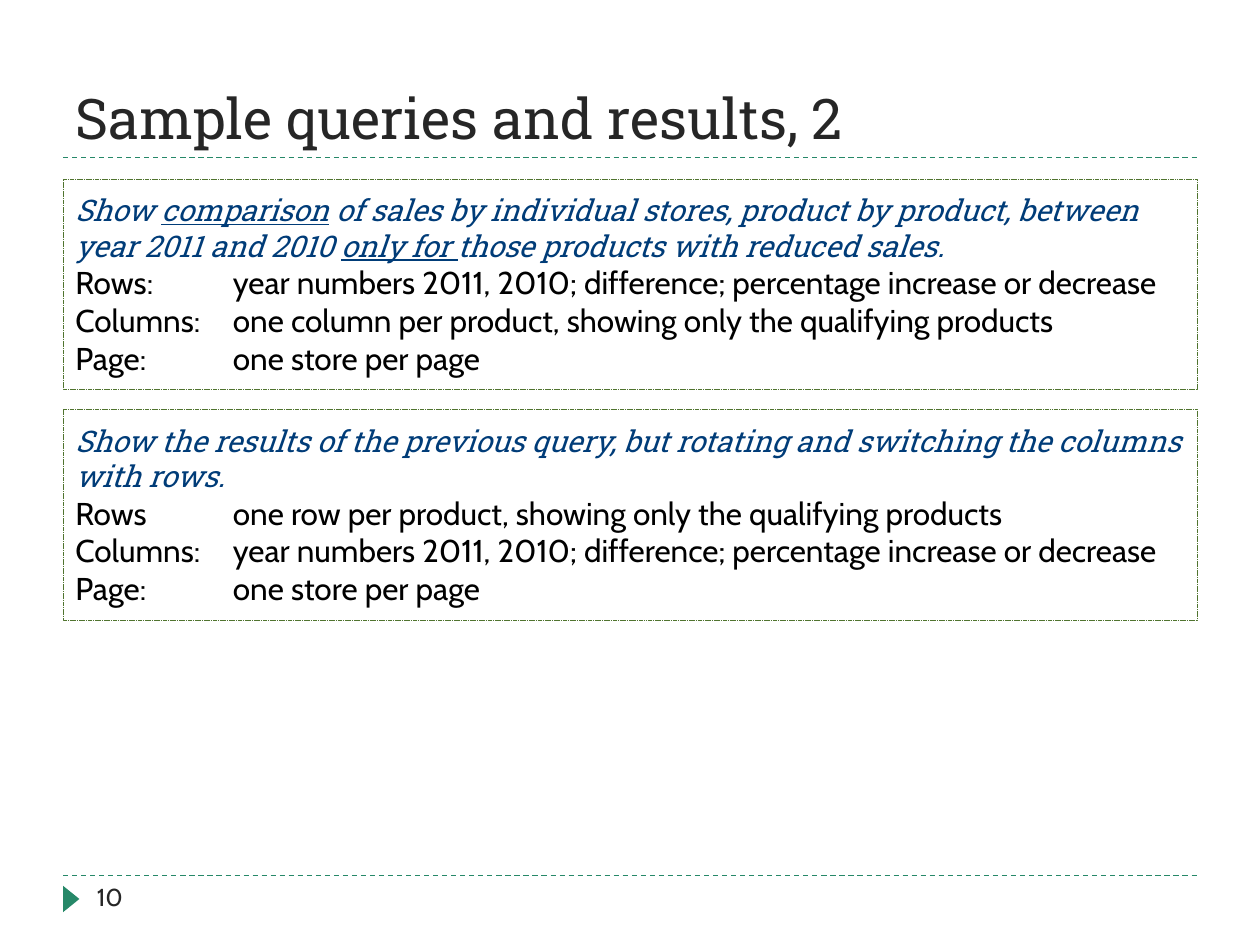
from lxml.etree import SubElement
from pptx import Presentation
from pptx.dml.color import RGBColor
from pptx.enum.dml import MSO_LINE
from pptx.enum.shapes import MSO_CONNECTOR, MSO_SHAPE
from pptx.enum.text import MSO_ANCHOR, MSO_AUTO_SIZE, PP_ALIGN
from pptx.oxml.ns import qn
from pptx.util import Inches, Pt

GREEN = RGBColor(0x26, 0x88, 0x68)
OLIVE = RGBColor(0x50, 0x74, 0x2F)
NAVY = RGBColor(0x00, 0x3C, 0x78)
DARK = RGBColor(0x26, 0x26, 0x26)
BLACK = RGBColor(0, 0, 0)
WHITE = RGBColor(255, 255, 255)
SLAB, SANS = "Roboto Slab", "Cabin"

LEFT, WIDE = 0.5, 9
TOP, HIGH, STEP = 1.42, 1.67, 1.83
TAB = 1.25

# Each query: its question as (text, underlined) runs, then label and value rows
YEARS = "year numbers 2011, 2010; difference; percentage increase or decrease"
STORE = ("Page: ", "one store per page")
QUERIES = [
    ([("Show ", False), ("comparison", True),
      (" of sales by individual stores, product by product, between "
       "year 2011 and 2010 ", False),
      ("only for ", True),
      ("those products with reduced sales.", False)],
     [("Rows: ", YEARS),
      ("Columns: ", "one column per product, showing only the qualifying products"),
      STORE]),
    ([("Show the results of the previous query, but rotating and "
       "switching the columns with rows.", False)],
     [("Rows ", "one row per product, showing only the qualifying products"),
      ("Columns: ", YEARS),
      STORE]),
]


def add_run(para, text, face, size, color, slant=False, under=False):
    run = para.add_run()
    run.text = text
    font = run.font
    font.name, font.size = face, Pt(size)
    font.color.rgb = color
    font.italic, font.underline = slant, under


def add_rule(slide, top):
    y = Inches(top)
    rule = slide.shapes.add_connector(
        MSO_CONNECTOR.STRAIGHT, Inches(LEFT), y, Inches(LEFT + WIDE), y)
    rule.line.color.rgb = GREEN
    rule.line.width = Pt(0.75)
    rule.line.dash_style = MSO_LINE.DASH
    SubElement(rule._element.spPr, qn("a:effectLst"))


def add_title(slide, text):
    title = slide.shapes.title
    title.left, title.top = Inches(LEFT), Inches(0.25)
    title.width, title.height = Inches(WIDE), Inches(1)
    frame = title.text_frame
    frame.auto_size = MSO_AUTO_SIZE.NONE
    frame.vertical_anchor = MSO_ANCHOR.BOTTOM
    para = frame.paragraphs[0]
    para.alignment = PP_ALIGN.LEFT
    add_run(para, text, SLAB, 32, DARK)


def add_number(slide, text):
    mark = slide.shapes.add_shape(
        MSO_SHAPE.ISOSCELES_TRIANGLE,
        Inches(0.46), Inches(7.07), Inches(0.21), Inches(0.13))
    mark.rotation = 90
    mark.shadow.inherit = False
    mark.fill.solid()
    mark.fill.fore_color.rgb = GREEN
    mark.line.fill.background()
    box = slide.shapes.add_textbox(
        Inches(0.67), Inches(6.95), Inches(2.17), Inches(0.4))
    frame = box.text_frame
    frame.word_wrap = True
    frame.vertical_anchor = MSO_ANCHOR.TOP
    add_run(frame.paragraphs[0], text, SANS, 14, DARK)


def set_tab(para):
    tabs = SubElement(para._p.get_or_add_pPr(), qn("a:tabLst"))
    SubElement(tabs, qn("a:tab"), pos=str(Inches(TAB)), algn="l")


def add_query(slide, top, query, rows):
    box = slide.shapes.add_shape(
        MSO_SHAPE.RECTANGLE,
        Inches(LEFT), Inches(top), Inches(WIDE), Inches(HIGH))
    box.shadow.inherit = False
    box.fill.solid()
    box.fill.fore_color.rgb = WHITE
    box.line.color.rgb = OLIVE
    box.line.width = Pt(0.25)
    box.line.dash_style = MSO_LINE.SQUARE_DOT
    frame = box.text_frame
    frame.word_wrap = True
    frame.vertical_anchor = MSO_ANCHOR.MIDDLE
    # Question
    para = frame.paragraphs[0]
    para.alignment = PP_ALIGN.LEFT
    for text, under in query:
        add_run(para, text, SLAB, 17, NAVY, True, under)
    # Layout of the answer
    for label, value in rows:
        para = frame.add_paragraph()
        para.alignment = PP_ALIGN.LEFT
        set_tab(para)
        add_run(para, f"{label}\t{value}", SANS, 18, BLACK)


def main():
    deck = Presentation()
    deck.slide_width, deck.slide_height = Inches(10), Inches(7.5)
    slide = deck.slides.add_slide(deck.slide_layouts[5])
    # Frame of the slide
    for top in (6.95, 1.25):
        add_rule(slide, top)
    add_title(slide, "Sample queries and results, 2")
    add_number(slide, "10")
    # Queries
    for i, (query, rows) in enumerate(QUERIES):
        add_query(slide, TOP + i * STEP, query, rows)
    deck.save("out.pptx")


main()
